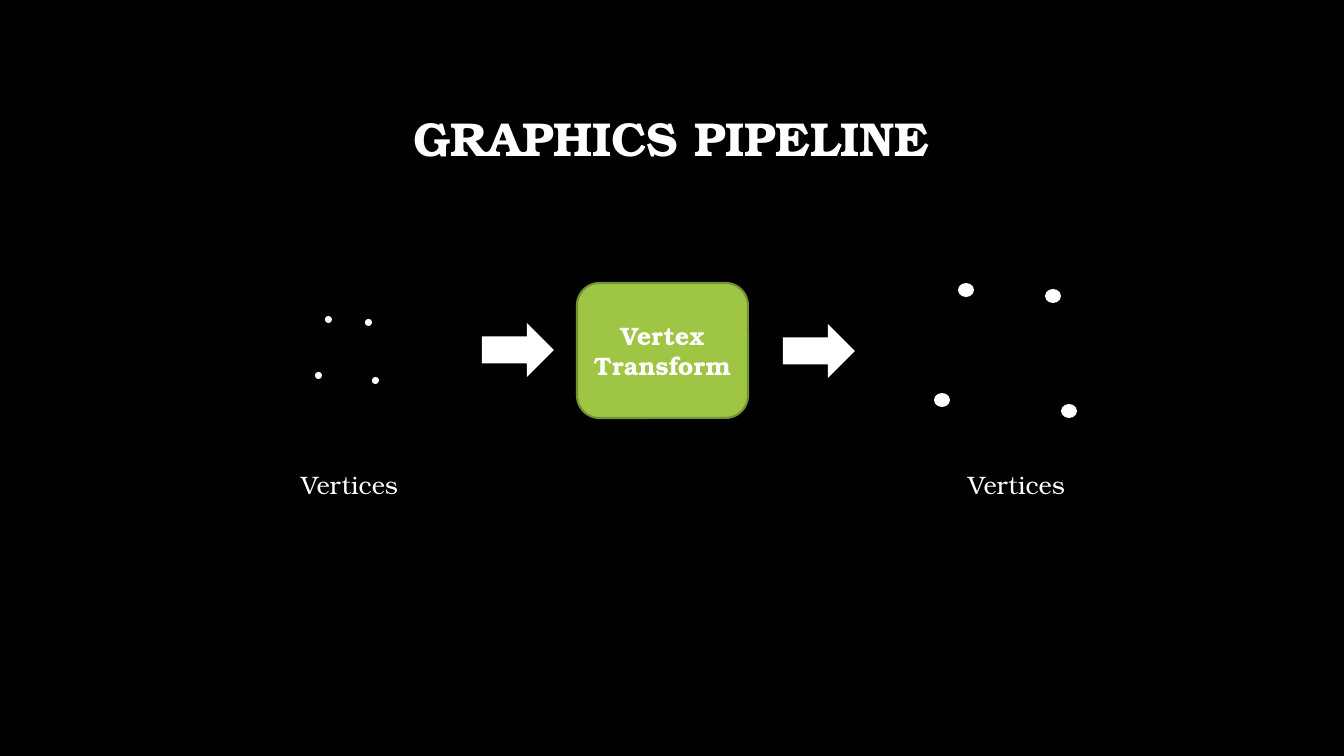
from pptx import Presentation
from pptx.dml.color import RGBColor
from pptx.enum.shapes import MSO_SHAPE
from pptx.enum.text import MSO_ANCHOR, MSO_AUTO_SIZE, PP_ALIGN
from pptx.util import Emu, Pt

BLACK = RGBColor(0x00, 0x00, 0x00)
WHITE = RGBColor(0xFF, 0xFF, 0xFF)
GREEN = RGBColor(0x9E, 0xC5, 0x44)
DARK_GREEN = RGBColor(0x75, 0x92, 0x32)
FONT = "TeX Gyre Bonum"
EMU_PER_PX = 914400 / 100.8


def px(*lengths):
    return [Emu(round(n * EMU_PER_PX)) for n in lengths]


class PipelineSlide:
    def __init__(self, prs):
        self.s = prs.slides.add_slide(prs.slide_layouts[5])
        fill = self.s.background.fill
        fill.solid()
        fill.fore_color.rgb = BLACK

    def set_text(self, tf, text, size, bold=False, align=PP_ALIGN.LEFT):
        tf.text = text
        tf.word_wrap = True
        p = tf.paragraphs[0]
        p.alignment = align
        font = p.runs[0].font
        font.name, font.size, font.bold = FONT, Pt(size), bold
        font.color.rgb = WHITE
        return p

    def title(self, text, *box):
        sp = self.s.shapes.title
        sp.left, sp.top, sp.width, sp.height = px(*box)
        tf = sp.text_frame
        self.set_text(tf, text, 34, True, PP_ALIGN.CENTER).line_spacing = 0.9
        tf.vertical_anchor = MSO_ANCHOR.MIDDLE
        tf.auto_size = MSO_AUTO_SIZE.NONE

    def shape(self, kind, *box, fill=WHITE, line=None, parent=None):
        shapes = (parent or self.s).shapes
        sp = shapes.add_shape(kind, *px(*box))
        sp.shadow.inherit = False
        sp.fill.solid()
        sp.fill.fore_color.rgb = fill
        if line is None:
            sp.line.fill.background()
        else:
            sp.line.color.rgb = line
            sp.line.width = Pt(1.5)
        return sp

    def stage(self, text, *box):
        sp = self.shape(MSO_SHAPE.ROUNDED_RECTANGLE, *box, fill=GREEN, line=DARK_GREEN)
        self.set_text(sp.text_frame, text, 18, True, PP_ALIGN.CENTER)
        sp.text_frame.vertical_anchor = MSO_ANCHOR.MIDDLE

    def arrow(self, x, y):
        self.shape(MSO_SHAPE.RIGHT_ARROW, x, y, 72, 54)

    def vertices(self, points, w, h, parent=None):
        for x, y in points:
            self.shape(MSO_SHAPE.FLOWCHART_CONNECTOR, x, y, w, h, parent=parent)

    def label(self, text, *box):
        tf = self.s.shapes.add_textbox(*px(*box)).text_frame
        self.set_text(tf, text, 18)
        tf.auto_size = MSO_AUTO_SIZE.SHAPE_TO_FIT_TEXT


def main():
    prs = Presentation()
    prs.slide_width, prs.slide_height = px(1344, 756)
    slide = PipelineSlide(prs)

    slide.title("GRAPHICS PIPELINE", 101, 68, 1141, 146)

    # Transform stage
    slide.stage("Vertex Transform", 577, 283, 171, 135)

    # Input vertices, grouped
    group = slide.s.shapes.add_group_shape()
    slide.vertices([(325, 316), (315, 372), (372, 377), (365, 319)], 7, 7, group)

    # Output vertices
    slide.vertices([(958, 283), (934, 393), (1061, 404), (1045, 289)], 16, 14)

    # Flow arrows and captions
    slide.arrow(482, 323)
    slide.arrow(783, 324)
    for x in (291, 958):
        slide.label("Vertices", x, 464, 120, 40)

    prs.save("out.pptx")


if __name__ == "__main__":
    main()
